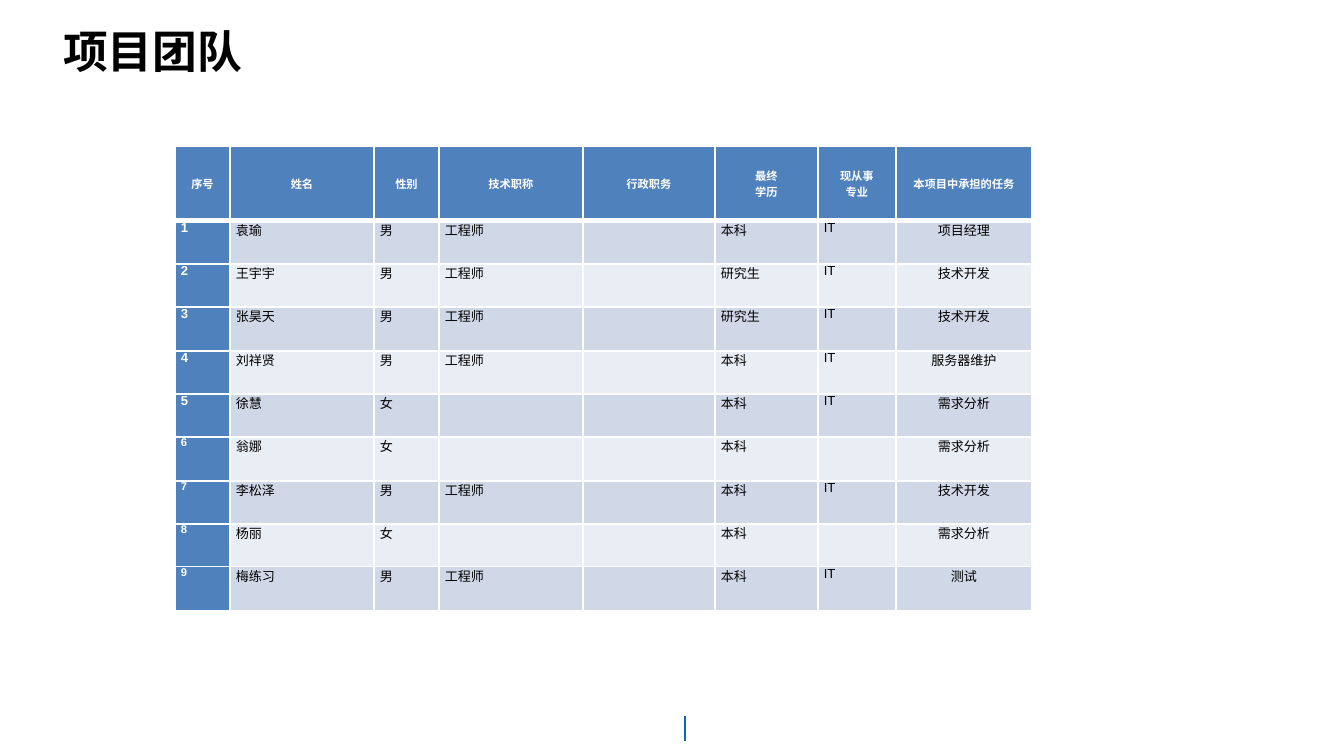
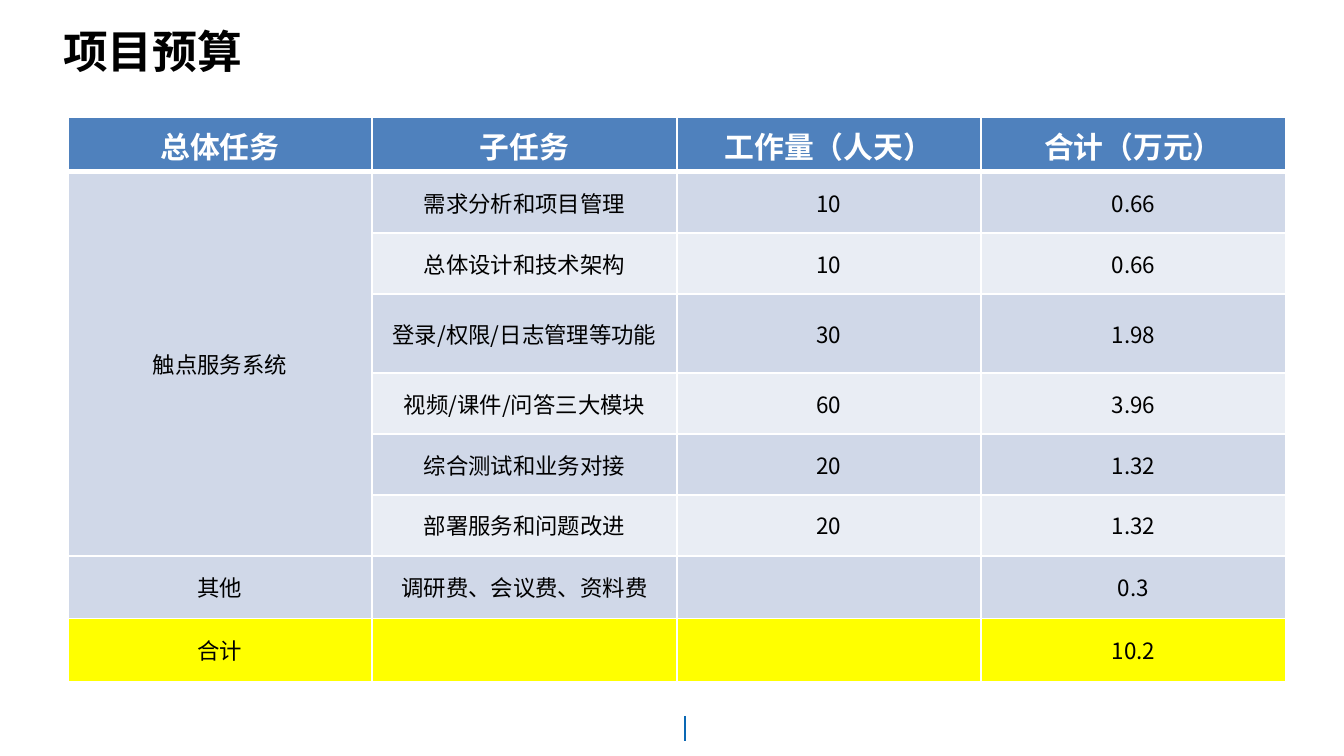
"""Builds the project team and project budget slides."""
from lxml.etree import SubElement
from pptx import Presentation
from pptx.dml.color import RGBColor
from pptx.enum.shapes import MSO_CONNECTOR
from pptx.enum.text import MSO_ANCHOR, PP_ALIGN
from pptx.oxml.ns import qn
from pptx.util import Pt

HUES = {"head": "4F81BD", "odd": "D0D8E8", "even": "E9EDF4", "sum": "FFFF00",
        "white": "FFFFFF", "black": "000000", "mark": "0A68B4"}
SANS, HAN = "Arial", "Noto Sans CJK SC"
PX = 914400 / 134.4

TEAM = [
    ("序号", "姓名", "性别", "技术职称", "行政职务", "最终\n学历", "现从事\n专业", "本项目中承担的任务"),
    ("1", "袁瑜", "男", "工程师", "", "本科", "IT", "项目经理"),
    ("2", "王宇宇", "男", "工程师", "", "研究生", "IT", "技术开发"),
    ("3", "张昊天", "男", "工程师", "", "研究生", "IT", "技术开发"),
    ("4", "刘祥贤", "男", "工程师", "", "本科", "IT", "服务器维护"),
    ("5", "徐慧", "女", "", "", "本科", "IT", "需求分析"),
    ("6", "翁娜", "女", "", "", "本科", "", "需求分析"),
    ("7", "李松泽", "男", "工程师", "", "本科", "IT", "技术开发"),
    ("8", "杨丽", "女", "", "", "本科", "", "需求分析"),
    ("9", "梅练习", "男", "工程师", "", "本科", "IT", "测试"),
]
COSTS = [
    ("总体任务", "子任务", "工作量（人天）", "合计（万元）"),
    ("触点服务系统", "需求分析和项目管理", "10", "0.66"),
    ("", "总体设计和技术架构", "10", "0.66"),
    ("", "登录/权限/日志管理等功能", "30", "1.98"),
    ("", "视频/课件/问答三大模块", "60", "3.96"),
    ("", "综合测试和业务对接", "20", "1.32"),
    ("", "部署服务和问题改进", "20", "1.32"),
    ("其他", "调研费、会议费、资料费", "", "0.3"),
    ("合计", "", "", "10.2"),
]


def px(num):
    return round(num * PX)


def tint(name):
    return RGBColor.from_string(HUES[name])


def style(frame, size, hue, bold, face, align):
    for para in frame.paragraphs:
        para.alignment = align
        for run in para.runs:
            font = run.font
            font.size, font.bold, font.name = Pt(size), bold, face
            font.color.rgb = tint(hue)
            SubElement(font._element, qn("a:ea"), typeface=HAN)
        if not para.runs:
            SubElement(para._p, qn("a:endParaRPr"), sz=str(size * 100))


def edge(cell, row):
    props = cell._tc.get_or_add_tcPr()
    wide = {"T": row == 1, "B": row == 0}
    for side in "LRTB":
        width = Pt(3 if wide.get(side) else 1)
        line = SubElement(props, qn("a:ln" + side), w=str(width))
        fill = SubElement(line, qn("a:solidFill"))
        SubElement(fill, qn("a:srgbClr"), val=HUES["white"])


def paint(cell, hue):
    cell.fill.solid()
    cell.fill.fore_color.rgb = tint(hue)


def band(row):
    return "odd" if row % 2 else "even"


def grid(slide, data, left, top, cols, rows):
    frame = slide.shapes.add_table(len(rows), len(cols), px(left), px(top),
                                   px(sum(cols)), px(sum(rows)))
    table = frame.table
    for part, wide in zip(table.columns, cols):
        part.width = px(wide)
    for part, high in zip(table.rows, rows):
        part.height = px(high)
    for row, texts in enumerate(data):
        for col, text in enumerate(texts):
            cell = table.cell(row, col)
            cell.text_frame.text = text
            edge(cell, row)
            yield row, col, cell, table


def base(deck, title):
    slide = deck.slides.add_slide(deck.slide_layouts[6])
    mark = slide.shapes.add_connector(MSO_CONNECTOR.STRAIGHT, px(685), px(716),
                                      px(685), px(741))
    mark.line.color.rgb, mark.line.width = tint("mark"), Pt(0.75)
    SubElement(mark._element.spPr, qn("a:effectLst"))
    frame = slide.shapes.add_textbox(px(50), px(19), px(961), px(63)).text_frame
    frame.word_wrap, frame.vertical_anchor = True, MSO_ANCHOR.MIDDLE
    frame.text = title
    style(frame, 24, "black", True, SANS, PP_ALIGN.LEFT)
    return slide


def team(deck):
    slide = base(deck, "项目团队")
    cols = [55, 144, 65, 144, 132, 103, 78, 136]
    rows = [75] + [43, 43, 44] * 3
    for row, col, cell, table in grid(slide, TEAM, 175, 146, cols, rows):
        head, key = row == 0, row == 0 or col == 0
        cell.margin_left = cell.margin_right = px(6)
        cell.margin_top = cell.margin_bottom = 0
        cell.vertical_anchor = MSO_ANCHOR.MIDDLE if head else MSO_ANCHOR.TOP
        paint(cell, "head" if key else band(row))
        size = 6 if head or (col == 0 and row > 5) else 7
        mid = head or col == len(cols) - 1
        style(cell.text_frame, size, "white" if key else "black", key, SANS,
              PP_ALIGN.CENTER if mid else PP_ALIGN.JUSTIFY)


def costs(deck):
    slide = base(deck, "项目预算")
    cols = [304, 305] * 2
    rows = [55, 61, 61, 79, 61, 61, 61, 63, 63]
    for row, col, cell, table in grid(slide, COSTS, 68, 117, cols, rows):
        head, last = row == 0, row == len(rows) - 1
        cell.vertical_anchor = MSO_ANCHOR.MIDDLE
        paint(cell, "head" if head else "sum" if last else band(row))
        style(cell.text_frame, 16 if head else 12, "white" if head else "black",
              head, HAN, PP_ALIGN.CENTER)
    table.cell(1, 0).merge(table.cell(6, 0))


def main():
    deck = Presentation()
    deck.slide_width, deck.slide_height = px(1344), px(756)
    team(deck)
    costs(deck)
    deck.save("out.pptx")


if __name__ == "__main__":
    main()
